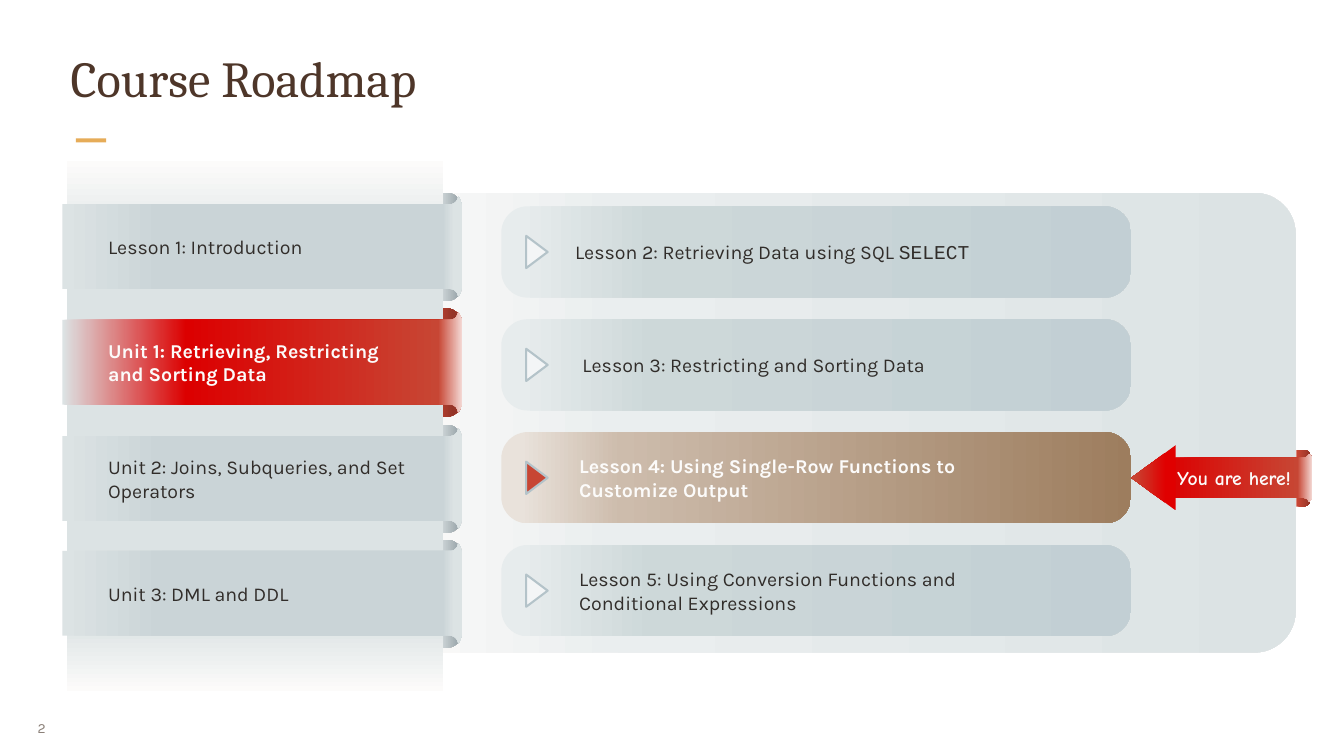
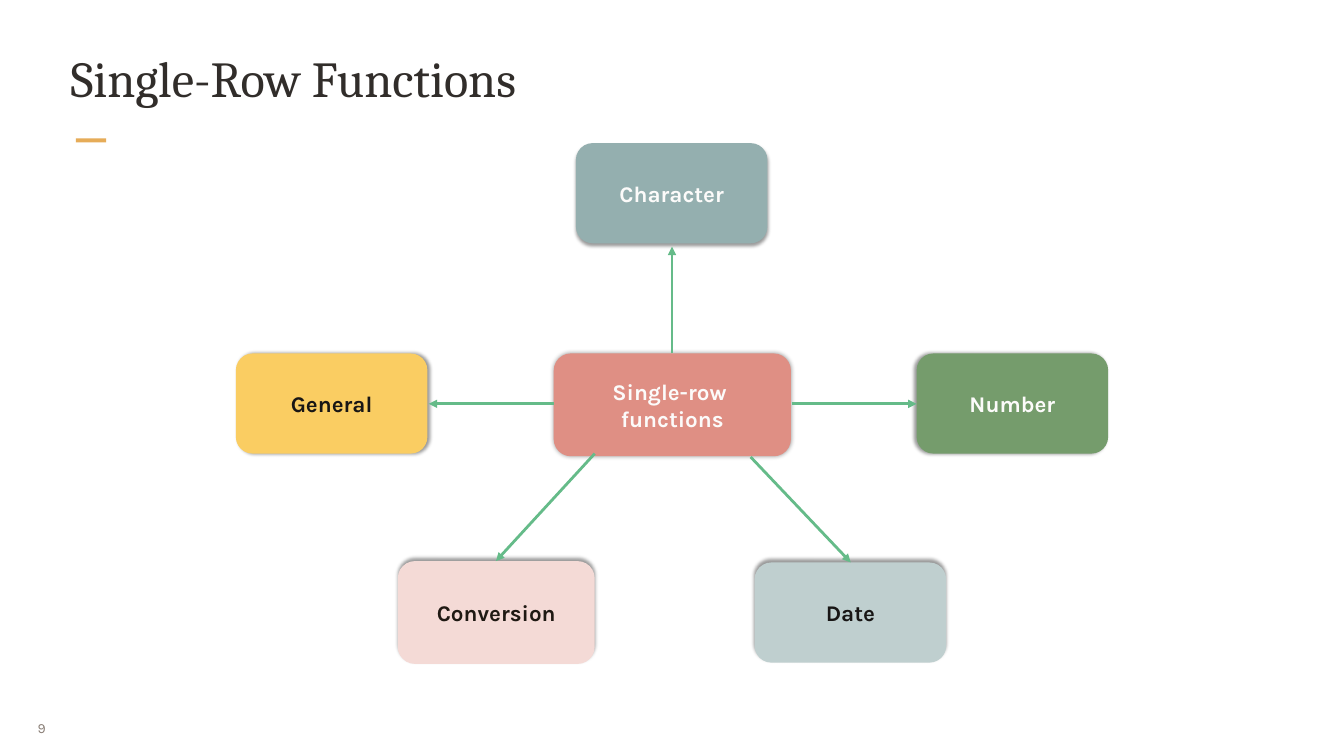
"""Build a course roadmap slide and a single-row function diagram."""
from lxml.etree import SubElement
from pptx import Presentation
from pptx.dml.color import RGBColor
from pptx.enum.shapes import MSO_CONNECTOR, MSO_SHAPE
from pptx.enum.text import MSO_ANCHOR, MSO_AUTO_SIZE, PP_ALIGN
from pptx.oxml.ns import qn
from pptx.util import Pt

PX = 9144

WHITE = RGBColor(0xFC, 0xFB, 0xFA)
INK = RGBColor(0x31, 0x2D, 0x2A)
DARK = RGBColor(0x18, 0x16, 0x15)
UMBER = RGBColor(0x1F, 0x19, 0x13)
BROWN = RGBColor(0x4E, 0x36, 0x29)
TAUPE = RGBColor(0x8B, 0x80, 0x78)
AMBER = RGBColor(0xE6, 0xAC, 0x58)
MIST = RGBColor(0xDC, 0xE3, 0xE4)
SILVER = RGBColor(0xCA, 0xD4, 0xD7)
PALE = RGBColor(0xF3, 0xF5, 0xF6)
STEEL = RGBColor(0xB4, 0xC3, 0xC9)
RED = RGBColor(0xDC, 0x00, 0x00)
BRIGHT_RED = RGBColor(0xE0, 0x00, 0x00)
BRICK = RGBColor(0xC7, 0x46, 0x34)
MAROON = RGBColor(0x95, 0x34, 0x27)
BLUSH = RGBColor(0xF4, 0xDA, 0xD6)
TEAL = RGBColor(0x94, 0xAF, 0xAF)
ICE = RGBColor(0xBF, 0xCF, 0xCF)
LEAF = RGBColor(0x75, 0x9C, 0x6C)
SUN = RGBColor(0xFA, 0xCD, 0x62)
CORAL = RGBColor(0xDF, 0x8F, 0x84)
GREEN = RGBColor(0x65, 0xBB, 0x89)

PANEL_FADE = ((0, WHITE), (26, RGBColor(0xEA, 0xEE, 0xEF)), (100, MIST))
CARD_FADE = ((3, RGBColor(0xE7, 0xEC, 0xED)), (24, RGBColor(0xCD, 0xD8, 0xD9)),
             (100, RGBColor(0xC2, 0xCF, 0xD4)))
CURRENT_CARD_FADE = ((3, RGBColor(0xE9, 0xE2, 0xDB)), (19, RGBColor(0xCD, 0xBC, 0xAC)),
                     (100, RGBColor(0x9D, 0x7D, 0x5E)))
CURL_FADE = ((77, RGBColor(0xDE, 0xE4, 0xE5)), (99, RGBColor(0x96, 0xA2, 0xA7)))
CURRENT_CURL_FADE = ((73, BRICK), (92, MAROON))
COLUMN_FADE = ((0, WHITE), (17, MIST), (87, MIST), (100, WHITE))
RIBBON_FADE = ((0, MIST), (25, SILVER), (95, SILVER), (98, MIST))
CURRENT_RIBBON_FADE = ((0, MIST), (31, RED), (94, BRICK), (100, BLUSH))
MARKER_CURL_FADE = ((11, BRICK), (92, MAROON))
MARKER_FADE = ((0, RED), (90, BRICK), (100, BLUSH))
MARKER_HEAD_FADE = ((0, BRIGHT_RED), (23, BRIGHT_RED), (96, BRICK))

LESSON_TOP, LESSON_PITCH = 307, 168
LESSONS = (
    ("Lesson 2: Retrieving Data using SQL SELECT", 846, 737, 45),
    ("Lesson 3: Restricting and Sorting Data", 857, 670, 45),
    ("Lesson 4: Using Single-Row Functions to Customize Output", 852, 670, 81),
    ("Lesson 5: Using Conversion Functions and Conditional Expressions", 852, 670, 81),
)
CURRENT_LESSON = 2
UNITS = (
    ("Lesson 1: Introduction", 292, 399, 45),
    ("Unit 1: Retrieving, Restricting and Sorting Data", 464, 481, 81),
    ("Unit 2: Joins, Subqueries, and Set Operators", 637, 489, 81),
    ("Unit 3: DML and DDL", 808, 363, 45),
)
CURRENT_UNIT = 1

FUNCTION_NODES = (
    ("Character", (857, 213, 285, 149), TEAL, WHITE, (4, 3, 90)),
    ("Conversion", (592, 835, 293, 153), BLUSH, UMBER, (4, 3, 270)),
    ("Date", (1123, 837, 285, 149), ICE, DARK, (4, 3, 270)),
    ("Number", (1364, 526, 285, 149), LEAF, WHITE, (4, 3, 180)),
    ("General", (351, 526, 285, 149), SUN, DARK, (4, 3, 0)),
    ("Single-row \nfunctions", (824, 526, 353, 153), CORAL, WHITE, (5, 0, 0)),
)
ARROWS = (
    (1000, 526, 1000, 367),
    (1178, 601, 1364, 601),
    (1117, 680, 1266, 837),
    (885, 675, 738, 835),
    (824, 601, 638, 601),
)


def emu(*lengths):
    """Turn px lengths into EMU."""
    return [round(length * PX) for length in lengths]


def paint(shape, fill, angle=0):
    """Give a shape a solid or gradient fill, without outline or shadow."""
    shape.shadow.inherit = False
    shape.line.fill.background()
    if isinstance(fill, RGBColor):
        shape.fill.solid()
        shape.fill.fore_color.rgb = fill
        return
    shape.fill.gradient()
    shape.fill.gradient_angle = (360 - angle) % 360
    stops = shape.element.spPr.find(".//" + qn("a:gsLst"))
    stops.clear()
    for position, color in fill:
        stop = SubElement(stops, qn("a:gs"), pos=str(position * 1000))
        SubElement(stop, qn("a:srgbClr"), val=str(color))


def add_block(shapes, kind, area, fill, angle=0, corner=None, rotation=0):
    """Add a filled preset shape."""
    block = shapes.add_shape(kind, *emu(*area))
    paint(block, fill, angle)
    block.rotation = rotation
    if corner is not None:
        block.adjustments[0] = corner
    return block


def style_text(frame, text, size, color, font="Karla", bold=False, align=None):
    """Write text into a frame and format its runs."""
    frame.text = text
    for paragraph in frame.paragraphs:
        paragraph.alignment = align
        for span in paragraph.runs:
            span.font.size = Pt(size)
            span.font.name = font
            span.font.bold = bold
            span.font.color.rgb = color


def add_text(shapes, area, text, size, color, anchor=MSO_ANCHOR.TOP, **style):
    """Add a wrapping text box."""
    box = shapes.add_textbox(*emu(*area))
    frame = box.text_frame
    frame.word_wrap = True
    frame.vertical_anchor = anchor
    style_text(frame, text, size, color, **style)
    return frame


def add_label(shapes, left, middle, width, height, text, current):
    """Add a roadmap label centred on a height."""
    frame = add_text(shapes, (left, middle - height / 2, width, height), text, 21,
                     WHITE if current else INK, anchor=MSO_ANCHOR.MIDDLE, bold=current)
    frame.auto_size = MSO_AUTO_SIZE.SHAPE_TO_FIT_TEXT
    return frame


def curve(start, control, end, steps=8):
    """List points along a quadratic curve."""
    shares = [step / steps for step in range(steps + 1)]
    return [tuple((1 - t) ** 2 * a + 2 * t * (1 - t) * b + t * t * c
                  for a, b, c in zip(start, control, end)) for t in shares]


def add_mirrored(shapes, upper, top, height, fill):
    """Add an outline whose lower half mirrors its upper half."""
    lower = [(x, height - y) for x, y in reversed(upper)]
    points = [emu(x, top + y) for x, y in upper + lower]
    builder = shapes.build_freeform(*points[0], scale=1.0)
    builder.add_line_segments(points[1:], close=True)
    paint(builder.convert_to_shape(), fill)


def add_ribbon(shapes, left, right, top, height, fold, fill):
    """Add a ribbon whose right end flares out around a fold."""
    cap, inner, corner, slack = fold
    upper = [(left, slack)]
    upper += curve((right - inner, slack), (right - cap - 2, slack), (right - cap, 0))
    upper += curve((right - cap, 0), (right, corner / 2), (right, corner))
    add_mirrored(shapes, upper, top, height, fill)


def add_lessons(shapes):
    """Add the lesson cards with their labels and play marks."""
    for index, (text, left, width, height) in enumerate(LESSONS):
        current = index == CURRENT_LESSON
        top = LESSON_TOP + index * LESSON_PITCH
        add_block(shapes, MSO_SHAPE.ROUNDED_RECTANGLE, (746, top, 937, 136),
                  CURRENT_CARD_FADE if current else CARD_FADE, corner=0.29)
        frame = add_label(shapes, left, top + 68, width, height, text, current)
        if text.endswith("SELECT"):
            split_keyword(frame.paragraphs[0], "SELECT")
        mark = add_block(shapes, MSO_SHAPE.ISOSCELES_TRIANGLE, (775, top + 52, 48, 32),
                         BRICK if current else PALE, rotation=90)
        mark.line.color.rgb = STEEL
        mark.line.width = Pt(2.25)


def split_keyword(paragraph, keyword):
    """Set the closing keyword of a paragraph in a code font."""
    span = paragraph.runs[0]
    span.text = span.text.removesuffix(keyword)
    code = paragraph.add_run()
    code.text = keyword
    code.font.size = span.font.size
    code.font.name = "Courier New"
    code.font.color.rgb = span.font.color.rgb


def add_units(shapes):
    """Add the column of unit ribbons."""
    for index, (_, top, _, _) in enumerate(UNITS):
        add_block(shapes, MSO_SHAPE.ROUNDED_RECTANGLE, (528, top - 5, 158, 161),
                  CURRENT_CURL_FADE if index == CURRENT_UNIT else CURL_FADE, corner=0.13)
    add_block(shapes, MSO_SHAPE.RECTANGLE, (99, 240, 561, 788), COLUMN_FADE, angle=90)
    for index, (text, top, width, height) in enumerate(UNITS):
        current = index == CURRENT_UNIT
        add_ribbon(shapes, 93, 688, top, 150, (6, 19, 20, 12),
                   CURRENT_RIBBON_FADE if current else RIBBON_FADE)
        add_label(shapes, 151, top + 75, width, height, text, current)


def add_marker(shapes):
    """Add the arrow that points at the current lesson."""
    curl = [(1929, 0)] + curve((1937, 0), (1951, 0), (1951, 14))
    add_mirrored(shapes, curl, 669, 85, MARKER_CURL_FADE)
    add_ribbon(shapes, 1733, 1953, 675, 72, (5, 14, 9, 6), MARKER_FADE)
    add_block(shapes, MSO_SHAPE.ISOSCELES_TRIANGLE, (1668, 678, 97, 66),
              MARKER_HEAD_FADE, angle=270, rotation=270)
    frame = add_text(shapes, (1733, 688, 207, 45), "You are here!", 21, WHITE,
                     font="Comic Neue", bold=True, align=PP_ALIGN.CENTER)
    frame.auto_size = MSO_AUTO_SIZE.SHAPE_TO_FIT_TEXT


def add_node(shapes, text, area, fill, color, shadow):
    """Add a rounded function box with a soft shadow."""
    node = add_block(shapes, MSO_SHAPE.ROUNDED_RECTANGLE, area, fill)
    blur, distance, direction = shadow
    effects = node.element.spPr.find(qn("a:effectLst"))
    outer = SubElement(effects, qn("a:outerShdw"), blurRad=str(Pt(blur)),
                       dist=str(Pt(distance)), dir=str(direction * 60000),
                       algn="ctr", rotWithShape="0")
    shade = SubElement(outer, qn("a:srgbClr"), val="000000")
    SubElement(shade, qn("a:alpha"), val="40000")
    node.text_frame.word_wrap = False
    node.text_frame.vertical_anchor = MSO_ANCHOR.MIDDLE
    style_text(node.text_frame, text, 24, color, bold=True, align=PP_ALIGN.CENTER)


def add_arrow(shapes, ends):
    """Add a straight arrow between two points."""
    arrow = shapes.add_connector(MSO_CONNECTOR.STRAIGHT, *emu(*ends))
    arrow.line.color.rgb = GREEN
    arrow.line.width = Pt(3)
    properties = arrow.element.spPr
    SubElement(properties.find(qn("a:ln")), qn("a:tailEnd"), type="triangle")
    SubElement(properties, qn("a:effectLst"))


def add_page(deck, title, color, number):
    """Add a blank page with accent bar, page number and title."""
    page = deck.slides.add_slide(deck.slide_layouts[6])
    add_block(page.shapes, MSO_SHAPE.RECTANGLE, (113, 206, 45, 6), AMBER)
    footer = add_text(page.shapes, (43, 1054, 65, 58), str(number), 15, TAUPE,
                      anchor=MSO_ANCHOR.MIDDLE, align=PP_ALIGN.JUSTIFY)
    footer.word_wrap = False
    footer.margin_left, footer.margin_right = emu(13, 13)
    heading = add_text(page.shapes, (102, 67, 1796, 128), title, 54, color, font="Cambria")
    heading.margin_left, heading.margin_top = emu(3, 3)
    heading.margin_right, heading.margin_bottom = emu(3, 3)
    return page


def main():
    """Build and save the deck."""
    deck = Presentation()
    deck.slide_width, deck.slide_height = emu(2000, 1125)

    roadmap = add_page(deck, "Course Roadmap", BROWN, 2).shapes
    add_block(roadmap, MSO_SHAPE.ROUNDED_RECTANGLE, (566, 287, 1362, 684),
              PANEL_FADE, corner=0.09)
    add_lessons(roadmap)
    add_marker(roadmap.add_group_shape().shapes)
    add_units(roadmap)

    diagram = add_page(deck, "Single-Row Functions", INK, 9).shapes
    for node in FUNCTION_NODES:
        add_node(diagram, *node)
    for ends in ARROWS:
        add_arrow(diagram, ends)

    deck.save("out.pptx")


if __name__ == "__main__":
    main()
